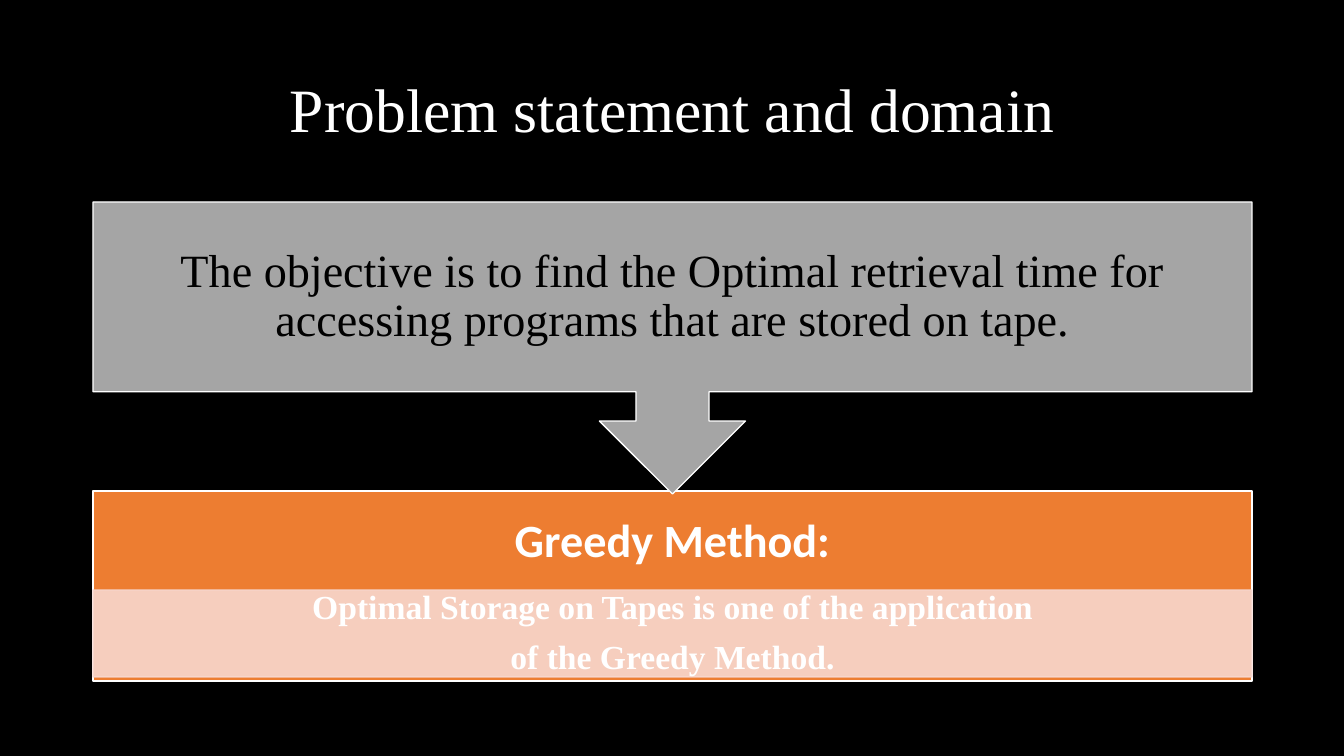
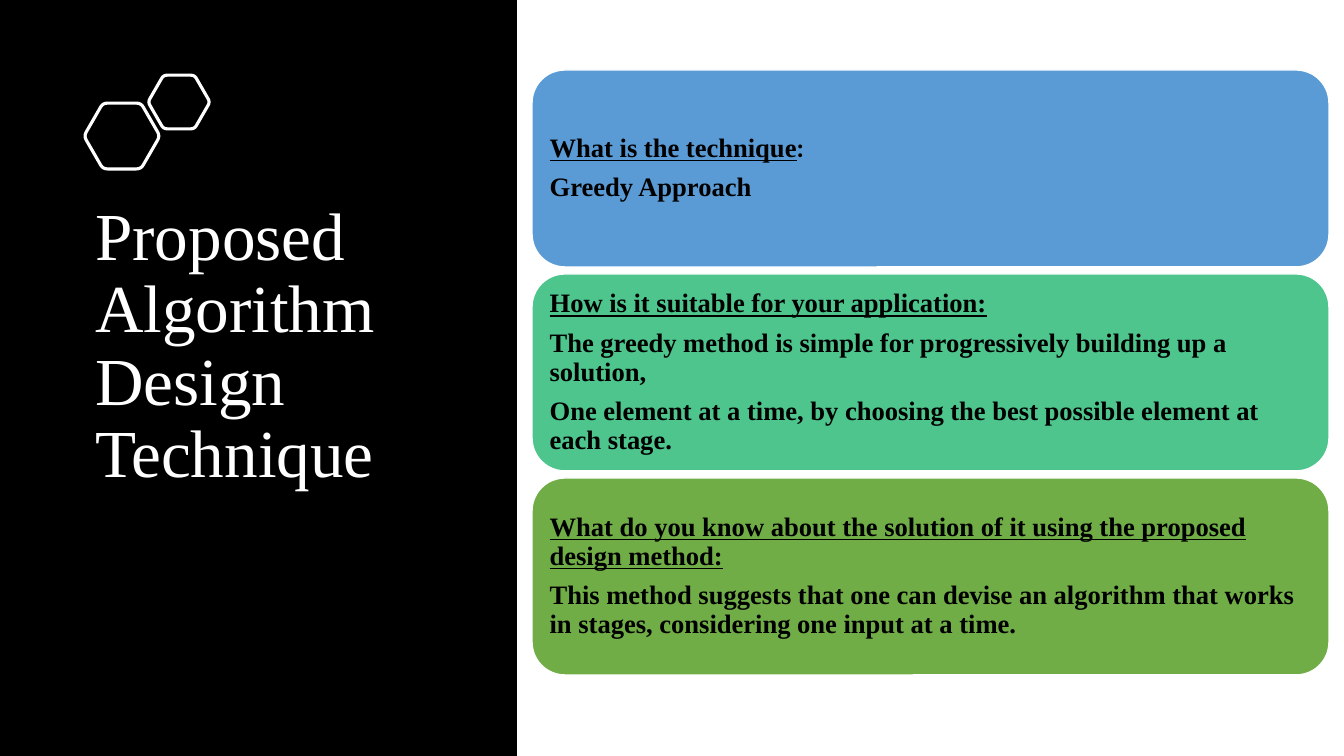
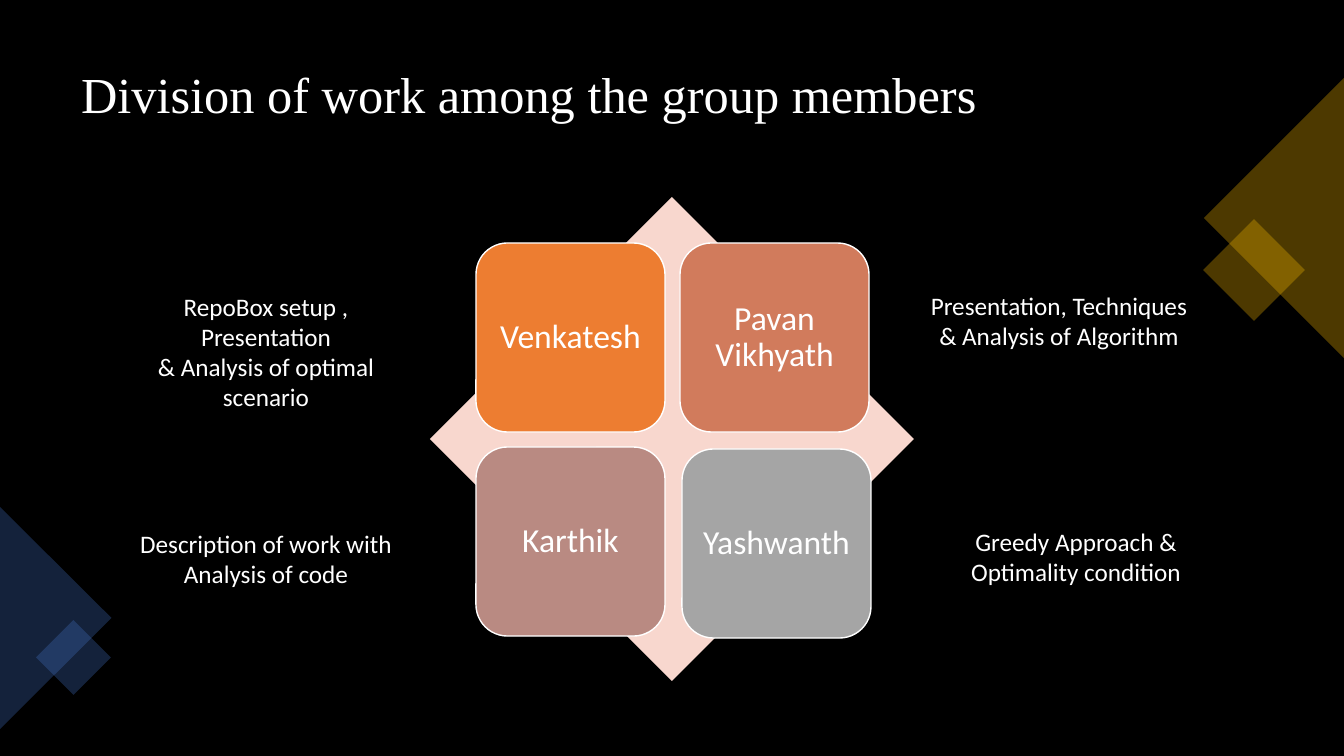
import math
from dataclasses import dataclass

from pptx import Presentation
from pptx import util as u
from pptx.dml.color import RGBColor
from pptx.enum import shapes, text
from pptx.oxml.ns import qn
from lxml import etree

KIND = shapes.MSO_SHAPE
MID, TOP = text.MSO_ANCHOR.MIDDLE, text.MSO_ANCHOR.TOP
LEFT, CENTER = text.PP_ALIGN.LEFT, text.PP_ALIGN.CENTER


@dataclass(frozen=True)
class Theme:
    black: str = "000000"
    white: str = "FFFFFF"
    gray: str = "A5A5A5"
    orange: str = "ED7D31"
    peach: str = "F8D7CE"
    clay: str = "D17B5C"
    rose: str = "B98A82"
    sky: str = "5B9BD5"
    mint: str = "4DC58D"
    green: str = "70AD47"
    gold: str = "FFC000"
    blue: str = "4472C4"
    serif: str = "Times New Roman"
    sans: str = "Calibri"
    head: int = 44
    side: int = 48
    small: int = 36
    lead: int = 33
    body: int = 24
    card: int = 19
    note: int = 18


T = Theme()


def px(n):
    return u.Emu(round(n * 914400 / 100.8))


def rgb(code):
    return RGBColor.from_string(code)


def fade(fill, pct):
    """Give a solid fill an opacity in percent."""
    color = fill._xPr.find(qn("a:solidFill"))[0]
    etree.SubElement(color, qn("a:alpha")).set("val", str(pct * 1000))


def write(frame, paras, size, color=T.white, font=T.serif, align=CENTER,
          anchor=MID, inset=None, lines=0.9, gap=0.4, **style):
    """Fill a frame; a paragraph is a string or a list of (text, format)."""
    frame.auto_size = text.MSO_AUTO_SIZE.NONE
    frame.word_wrap = True
    frame.vertical_anchor = anchor
    if inset:
        for side, n in zip(("left", "top", "right", "bottom"), inset):
            setattr(frame, "margin_" + side, px(n))
    for i, runs in enumerate(paras):
        para = frame.add_paragraph() if i else frame.paragraphs[0]
        para.alignment, para.line_spacing = align, lines
        para.space_after = u.Pt(size * gap)
        for words, extra in [(runs, {})] if isinstance(runs, str) else runs:
            run = para.add_run()
            run.text = words
            look = {"name": font, "size": u.Pt(size), **style, **extra}
            for key, value in look.items():
                setattr(run.font, key, value)
            run.font.color.rgb = rgb(color)


def page(deck, back, title, box, size, align=LEFT, anchor=MID):
    """Add a slide with its background and title."""
    slide = deck.slides.add_slide(deck.slide_layouts[5])
    slide.background.fill.solid()
    slide.background.fill.fore_color.rgb = rgb(back)
    head = slide.shapes.title
    head.left, head.top, head.width, head.height = map(px, box)
    write(head.text_frame, [title], size, align=align, anchor=anchor, gap=0)
    return slide


def paint(item, fill=None, line=None, width=1, alpha=None):
    item.shadow.inherit = False
    for part, color in ((item.fill, fill), (item.line.fill, line)):
        if color is None:
            part.background()
            continue
        part.solid()
        part.fore_color.rgb = rgb(color)
        if alpha:
            fade(part, alpha)
    if line:
        item.line.width = u.Pt(width)


def block(slide, kind, box, fill, line=None, turn=0, alpha=None):
    item = slide.shapes.add_shape(kind, *map(px, box))
    item.rotation = turn
    paint(item, fill, line, alpha=alpha)
    return item


def label(slide, box, paras, size, **look):
    item = slide.shapes.add_textbox(*map(px, box))
    write(item.text_frame, paras, size, **look)


def hexa(slide, x, y, radius, cut=0.12):
    """Outline a hexagon with rounded corners around a centre."""
    tips = [(x + radius * math.cos(math.radians(a)),
             y + radius * math.sin(math.radians(a))) for a in range(0, 360, 60)]
    dots = []
    for i, tip in enumerate(tips):
        near, far = tips[i - 1], tips[(i + 1) % 6]
        for step in range(5):
            t = step / 4
            a, b = cut * (1 - t) ** 2, cut * t ** 2
            dots.append(tuple(px(p + a * (n - p) + b * (f - p))
                              for p, n, f in zip(tip, near, far)))
    path = slide.shapes.build_freeform(*dots[0], scale=1.0)
    path.add_line_segments(dots[1:], close=True)
    paint(path.convert_to_shape(), line=T.white, width=2.25)


def problem(deck):
    slide = page(deck, T.black, "Problem statement and domain",
                 (93, 40, 1159, 146), T.head, align=CENTER)
    x, wide = 93, 1159
    block(slide, KIND.RECTANGLE, (x, 491, wide, 190), T.orange, T.white)
    label(slide, (x, 491, wide, 103), ["Greedy Method:"], T.lead,
          font=T.sans, bold=True, inset=[26] * 4)
    band = block(slide, KIND.RECTANGLE, (x, 590, wide, 87), T.peach,
                 T.peach, alpha=90)
    write(band.text_frame,
          ["Optimal Storage on Tapes is one of the application",
           "of the Greedy Method."],
          T.body, bold=True, inset=(19, 3, 19, 3))
    block(slide, KIND.UP_ARROW_CALLOUT, (x, 202, wide, 292), T.gray,
          T.white, turn=180)
    label(slide, (x, 202, wide, 190),
          ["The objective is to find the Optimal retrieval time for "
           "accessing programs that are stored on tape."],
          T.lead, color=T.black, inset=[26] * 4)


def method(deck):
    slide = page(deck, T.white, "Proposed Algorithm Design Technique",
                 (85, 197, 395, 353), T.side, anchor=TOP)
    side = block(slide, KIND.RECTANGLE, (0, 0, 517, 756), T.black)
    slide.shapes.title._element.addprevious(side._element)
    hexa(slide, 122, 136, 38)
    hexa(slide, 179, 102, 31)
    under = {"underline": True}
    cards = [
        (T.sky, [[("What is the technique", under), (":", {"name": T.sans})],
                 "Greedy Approach"]),
        (T.mint, [[("How is it suitable for your application:", under)],
                  "The greedy method is simple for progressively building "
                  "up a solution,",
                  "One element at a time, by choosing the best possible "
                  "element at each stage."]),
        (T.green, [[("What do you know about the solution of it using the "
                     "proposed design method:", under)],
                   "This method suggests that one can devise an algorithm "
                   "that works in stages, considering one input at a time."]),
    ]
    for i, (fill, paras) in enumerate(cards):
        card = block(slide, KIND.ROUNDED_RECTANGLE,
                     (532, 70 + 204 * i, 797, 197), fill, T.white)
        write(card.text_frame, paras, T.card, color=T.black, align=LEFT,
              inset=[8] * 4, bold=True)


def team(deck):
    slide = page(deck, T.black, "Division of work among the group members",
                 (71, 35, 1203, 125), T.small)
    for kind, box, fill, turn in (
            (KIND.RECTANGLE, (1218, 234, 72, 72), T.gold, 45),
            (KIND.ISOSCELES_TRIANGLE, (1134, 148, 280, 140), T.gold, 270),
            (KIND.ISOSCELES_TRIANGLE, (-56, 562, 223, 112), T.blue, 90),
            (KIND.RECTANGLE, (47, 631, 53, 53), T.blue, 45)):
        block(slide, kind, box, fill, turn=turn, alpha=30)
    block(slide, KIND.DIAMOND, (430, 197, 484, 484), T.peach)
    tiles = (("Venkatesh", T.orange, 0), ("Pavan Vikhyath", T.clay, 0),
             ("Karthik", T.rose, 0), ("Yashwanth", T.gray, 2))
    for i, (name, fill, nudge) in enumerate(tiles):
        row, col = divmod(i, 2)
        tile = block(slide, KIND.ROUNDED_RECTANGLE,
                     (476 + 204 * col + nudge, 243 + 204 * row + nudge,
                      189, 189), fill, T.white)
        write(tile.text_frame, [name], T.body, font=T.sans, inset=[10] * 4)
    for mid, top, paras in (
            (266, 286, ["RepoBox setup , Presentation",
                        "& Analysis of optimal", "scenario"]),
            (1076, 521, ["Greedy Approach &", "Optimality condition"]),
            (1059, 285, ["Presentation, Techniques",
                         "& Analysis of Algorithm"]),
            (266, 523, ["Description of work with", "Analysis of code"])):
        label(slide, (mid - 160, top, 320, 10 + 30 * len(paras)), paras,
              T.note, font=T.sans, anchor=TOP, lines=1.0, gap=0)


def main():
    deck = Presentation()
    deck.slide_width, deck.slide_height = px(1344), px(756)
    for build in (problem, method, team):
        build(deck)
    deck.save("out.pptx")


if __name__ == "__main__":
    main()
